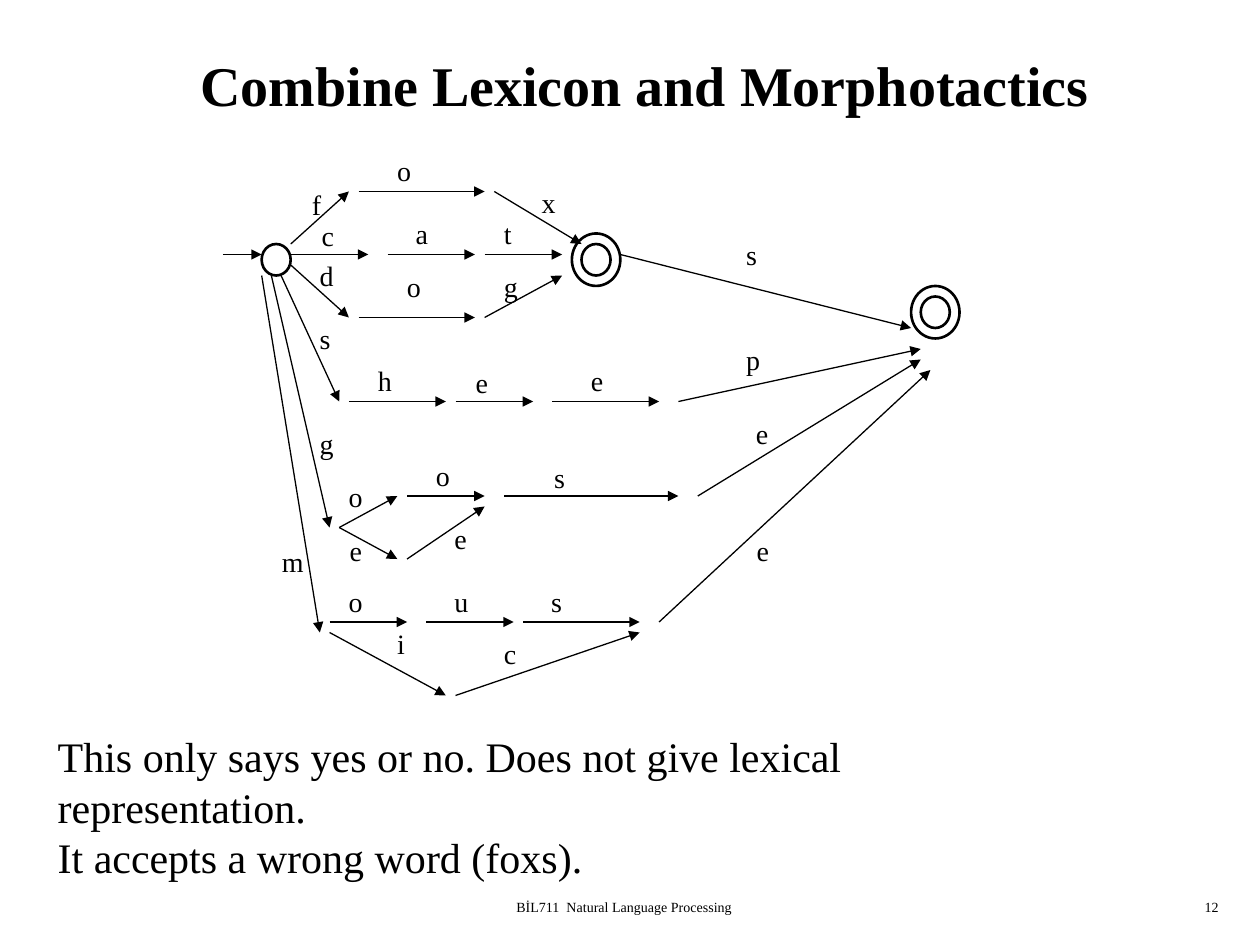
from dataclasses import dataclass

from lxml.etree import SubElement
from pptx import Presentation
from pptx.dml.color import RGBColor
from pptx.enum.shapes import MSO_CONNECTOR, MSO_SHAPE
from pptx.enum.text import MSO_ANCHOR, PP_ALIGN
from pptx.oxml.ns import qn
from pptx.util import Inches, Pt


@dataclass(frozen=True)
class Theme:
    font: str = "Times New Roman"
    ink: RGBColor = RGBColor(0, 0, 0)
    title: int = 32
    body: int = 24
    label: int = 16
    footer: int = 8
    arrow: float = 0.75
    ring: float = 1.5


THEME = Theme()
COLS_PER_INCH, ROWS_PER_INCH, ROW_OFFSET = 13, 12, 0.02
LETTER_EMS = {"f": 0.33, "t": 0.28, "i": 0.28, "s": 0.39,
              "c": 0.44, "a": 0.44, "e": 0.44, "m": 0.78}

START = (27, 23)
ACCEPTING = [(59, 22), (94, 27)]

TRANSITIONS = [
    ((23, 24), (27, 24), "", None),
    ((30, 23), (36, 18), "f", (30.9, 17)),
    ((37, 18), (50, 18), "o", (39.7, 13.8)),
    ((51, 18), (60, 23), "x", (54.6, 16.8)),
    ((30, 24), (38, 24), "c", (31.9, 20)),
    ((40, 24), (49, 24), "a", (41.6, 19.8)),
    ((50, 24), (58, 24), "t", (50.7, 19.8)),
    ((30, 25), (36, 30), "d", (31.7, 23.8)),
    ((37, 30), (49, 30), "o", (40.7, 24.8)),
    ((50, 30), (58, 26), "g", (50.7, 24.8)),
    ((64, 24), (94, 31), "s", (75.7, 21.8)),
    ((29, 26), (35, 38), "s", (31.7, 29.8)),
    ((36, 38), (46, 38), "h", (37.7, 33.8)),
    ((47, 38), (55, 38), "e", (47.8, 34)),
    ((57, 38), (68, 38), "e", (59.7, 33.8)),
    ((70, 38), (95, 33), "p", (75.7, 31.8)),
    ((28, 26), (34, 50), "g", (31.7, 39.8)),
    ((35, 50), (41, 47), "o", (34.7, 44.8)),
    ((42, 47), (50, 47), "o", (43.7, 42.8)),
    ((52, 47), (70, 47), "s", (55.9, 43)),
    ((72, 47), (95, 34), "e", (76.7, 38.8)),
    ((35, 50), (41, 53), "e", (34.8, 50)),
    ((42, 53), (50, 48), "e", (45.6, 48.8)),
    ((27, 26), (33, 60), "m", (27.8, 51)),
    ((34, 59), (42, 59), "o", (34.7, 54.8)),
    ((44, 59), (53, 59), "u", (45.6, 54.8)),
    ((54, 59), (66, 59), "s", (55.6, 54.8)),
    ((34, 60), (46, 66), "i", (39.7, 58.8)),
    ((47, 66), (66, 60), "c", (50.7, 59.8)),
    ((68, 59), (96, 35), "e", (76.8, 50)),
]


def grid(col, row):
    return Inches(col / COLS_PER_INCH), Inches(row / ROWS_PER_INCH + ROW_OFFSET)


def add_text(s, text, left, top, width, height, size, bold=False,
             align=PP_ALIGN.LEFT, anchor=MSO_ANCHOR.TOP, wrap=True):
    tf = s.shapes.add_textbox(left, top, width, height).text_frame
    tf.word_wrap = wrap
    tf.vertical_anchor = anchor
    for i, line in enumerate(text.split("\n")):
        p = tf.paragraphs[0] if i == 0 else tf.add_paragraph()
        p.alignment = align
        r = p.add_run()
        r.text = line
        r.font.name = THEME.font
        r.font.size = Pt(size)
        r.font.bold = bold
        r.font.color.rgb = THEME.ink


def add_ring(s, col, row, cells):
    sp = s.shapes.add_shape(MSO_SHAPE.OVAL, *grid(col, row),
                            Inches(cells / COLS_PER_INCH),
                            Inches(cells / ROWS_PER_INCH))
    sp.shadow.inherit = False
    sp.fill.background()
    sp.line.color.rgb = THEME.ink
    sp.line.width = Pt(THEME.ring)


def add_accepting_state(s, col, row):
    add_ring(s, col + 1, row + 1, 3)
    add_ring(s, col, row, 5)


def add_arrow(s, start, end):
    cx = s.shapes.add_connector(MSO_CONNECTOR.STRAIGHT, *grid(*start), *grid(*end))
    cx.line.color.rgb = THEME.ink
    cx.line.width = Pt(THEME.arrow)
    props = cx._element.spPr
    SubElement(props.find(qn("a:ln")), qn("a:tailEnd"), type="triangle")
    SubElement(props, qn("a:effectLst"))


def add_letter(s, letter, col, row):
    width = 0.2 + LETTER_EMS.get(letter, 0.5) * THEME.label / 72
    add_text(s, letter, *grid(col, row), Inches(width), Inches(0.37),
             THEME.label, wrap=False)


def main():
    prs = Presentation()
    prs.slide_width, prs.slide_height = Inches(10), Inches(7.5)
    w, h = prs.slide_width, prs.slide_height
    s = prs.slides.add_slide(prs.slide_layouts[6])

    add_text(s, "Combine Lexicon and Morphotactics",
             Inches(0.39), Inches(0.17), Inches(9.46), Inches(1), THEME.title,
             bold=True, align=PP_ALIGN.CENTER, anchor=MSO_ANCHOR.MIDDLE)

    add_ring(s, *START, 3)
    for state in ACCEPTING:
        add_accepting_state(s, *state)
    for start, end, letter, spot in TRANSITIONS:
        add_arrow(s, start, end)
        if letter:
            add_letter(s, letter, *spot)

    add_text(s, "This only says yes or no. Does not give lexical representation.\n"
                "It accepts a wrong word (foxs).",
             Inches(0.36), Inches(5.75), Inches(8.47), Inches(0.9),
             THEME.body, wrap=False)

    footer_top, footer_height = int(h * 0.944), int(h / 30)
    add_text(s, "BİL711  Natural Language Processing",
             int(w * 0.308), footer_top, int(w * 0.375), footer_height,
             THEME.footer, align=PP_ALIGN.CENTER)
    add_text(s, "12", int(w * 0.769), footer_top, int(w * 0.208), footer_height,
             THEME.footer, align=PP_ALIGN.RIGHT)

    prs.save("out.pptx")


if __name__ == "__main__":
    main()
